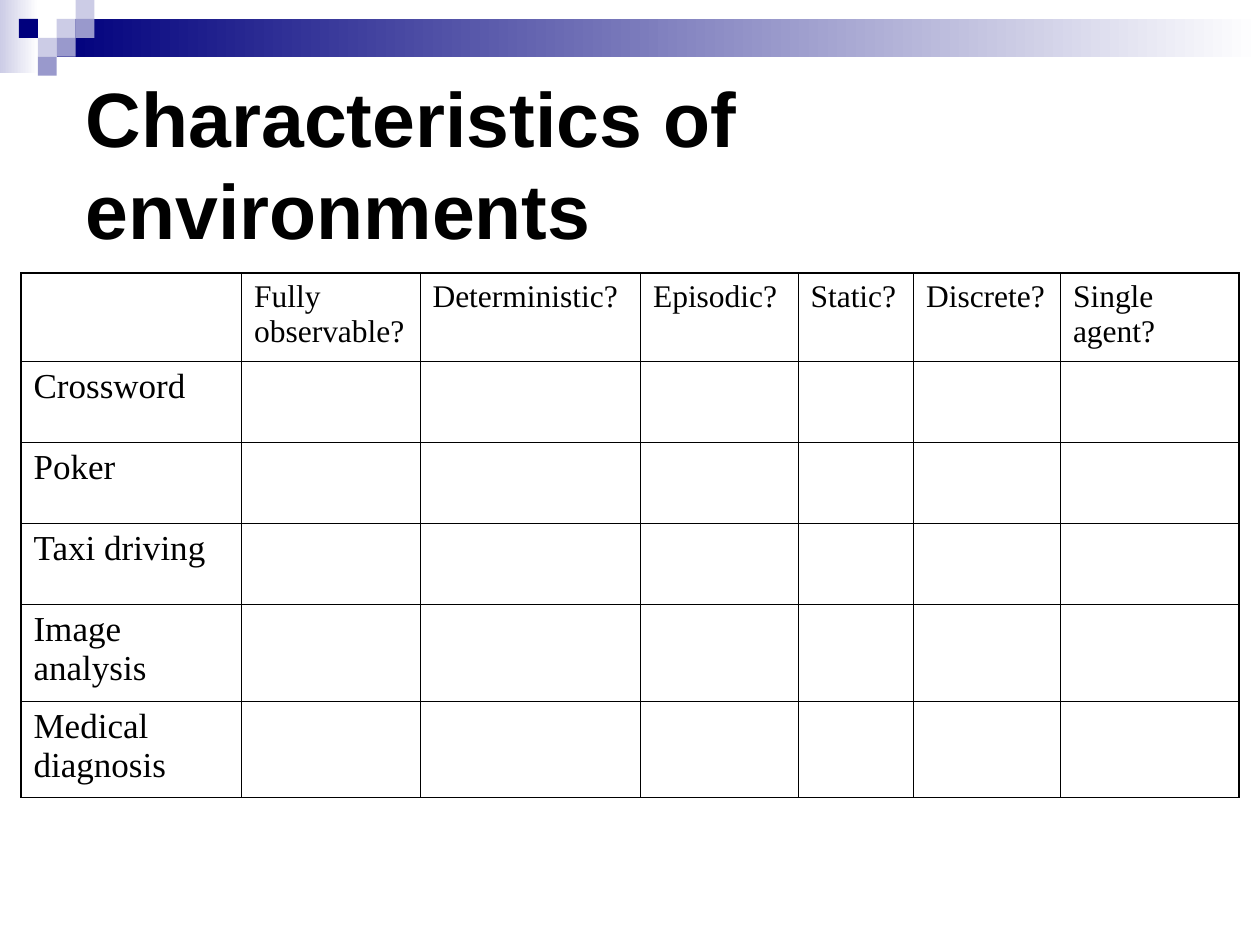
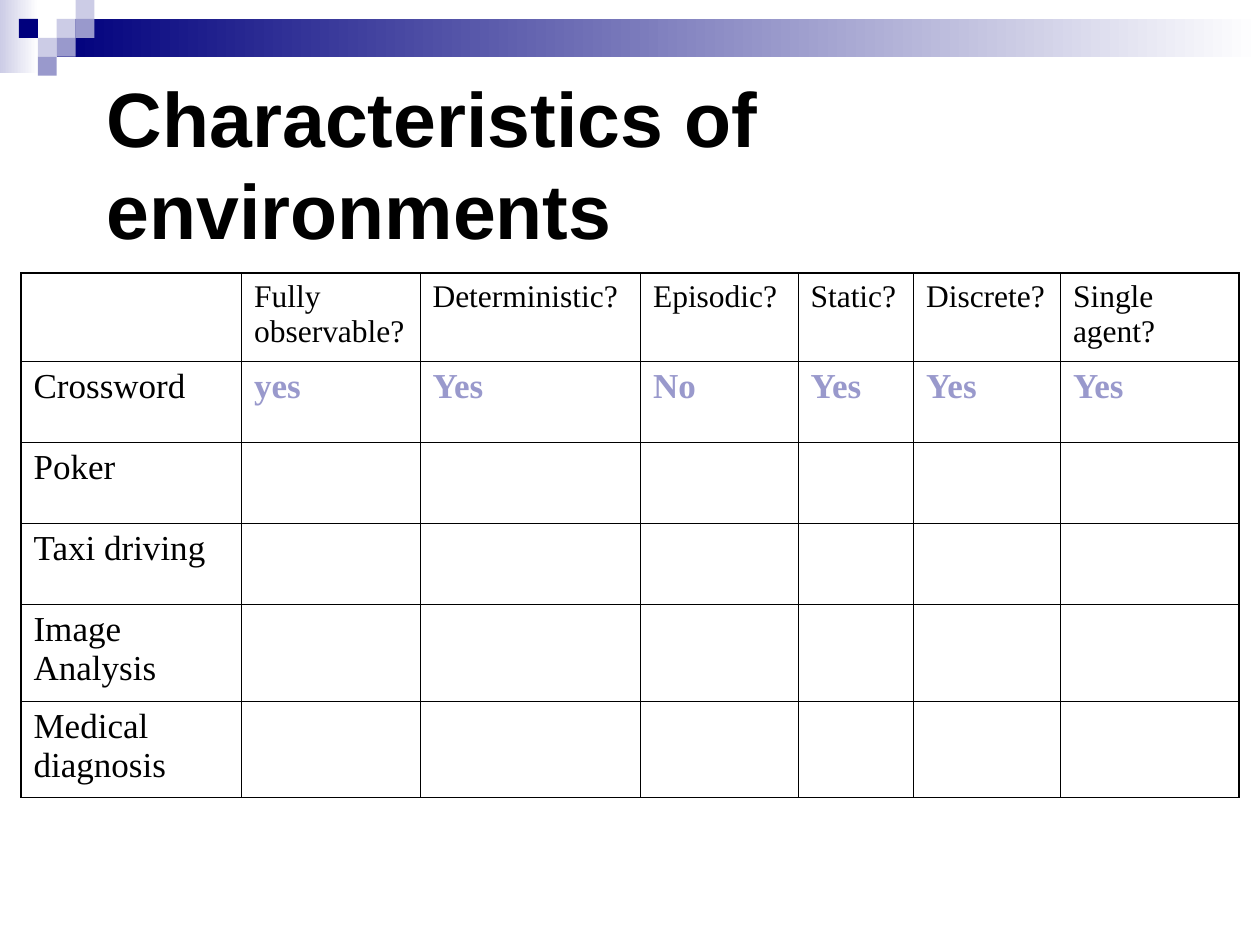
from dataclasses import dataclass

from lxml.etree import SubElement
from pptx import Presentation
from pptx.dml.color import RGBColor
from pptx.enum.shapes import MSO_SHAPE as Preset
from pptx.enum.text import MSO_ANCHOR as Anchor
from pptx.oxml.ns import qn
from pptx.slide import Slide
from pptx.table import _Cell as Cell
from pptx.text.text import _Paragraph as Paragraph
from pptx.util import Pt


@dataclass(frozen=True)
class Theme:
    ink: str = "000000"
    white: str = "FFFFFF"
    navy: str = "00007D"
    lavender: str = "9999CC"
    mist: str = "CCCCE6"
    title_font: str = "Arial"
    table_font: str = "Times New Roman"
    title_size: float = 44
    header_size: float = 18
    body_size: float = 20
    inner_line: float = 0.45
    outer_line: float = 1.08


@dataclass(frozen=True)
class Block:
    left: float
    top: float
    width: float
    height: float
    color: str
    fade_to: str = ""


@dataclass(frozen=True)
class EnvironmentSlide:
    title_left: float
    title_width: float
    rows: tuple[tuple[str, ...], ...]


THEME = Theme()
TILE = 10.8
TILES = (
    (3, 1, THEME.mist),
    (4, 0, THEME.mist),
    (4, 1, THEME.lavender),
    (2, 2, THEME.mist),
    (1, 1, THEME.navy),
    (3, 2, THEME.lavender),
    (2, 3, THEME.lavender),
)
BAND = (
    Block(0, 0, 22, 42, THEME.mist, THEME.white),
    Block(3 * TILE, TILE, 720 - 3 * TILE, 2 * TILE, THEME.navy, THEME.white),
    *(Block(column * TILE, row * TILE, TILE, TILE, color) for column, row, color in TILES),
)

TITLE = "Characteristics of environments"
QUESTIONS = ("", "Fully observable?", "Deterministic?", "Episodic?", "Static?", "Discrete?", "Single agent?")
COLUMN_WIDTHS = (126, 102, 126, 90, 66, 84, 102)
ROW_HEIGHTS = (50.4, 46.3, 46.3, 46.3, 55.2, 55.2)
SLIDES = (
    EnvironmentSlide(42, 636, (
        ("Crossword",), ("Poker",), ("Taxi driving",), ("Image analysis",), ("Medical diagnosis",),
    )),
    EnvironmentSlide(54, 612, (
        ("Crossword", "yes", "Yes", "No", "Yes", "Yes", "Yes"),
        ("Poker",), ("Taxi driving",), ("Image Analysis",), ("Medical diagnosis",),
    )),
)


def rgb(color: str) -> RGBColor:
    return RGBColor.from_string(color)


def style_text(paragraph: Paragraph, font_name: str, size: float, color: str, bold: bool) -> None:
    for run in paragraph.runs:
        run.font.name = font_name
        run.font.size = Pt(size)
        run.font.color.rgb = rgb(color)
        run.font.bold = bold


def draw_block(slide: Slide, block: Block) -> None:
    shape = slide.shapes.add_shape(
        Preset.RECTANGLE, Pt(block.left), Pt(block.top), Pt(block.width), Pt(block.height))
    shape.shadow.inherit = False
    shape.line.fill.background()
    if not block.fade_to:
        shape.fill.solid()
        shape.fill.fore_color.rgb = rgb(block.color)
        return
    shape.fill.gradient()
    shape.fill.gradient_angle = 0
    for stop, position, color in zip(shape.fill.gradient_stops, (0, 1), (block.color, block.fade_to)):
        stop.position = position
        stop.color.rgb = rgb(color)


def draw_title(slide: Slide, left: float, width: float) -> None:
    frame = slide.shapes.add_textbox(Pt(left), Pt(48), Pt(width), Pt(90)).text_frame
    frame.word_wrap = True
    frame.vertical_anchor = Anchor.MIDDLE
    frame.text = TITLE
    style_text(frame.paragraphs[0], THEME.title_font, THEME.title_size, THEME.ink, True)


def set_borders(cell: Cell, outer_sides: dict[str, bool]) -> None:
    properties = cell._tc.get_or_add_tcPr()
    for side, is_outer in outer_sides.items():
        width = Pt(THEME.outer_line if is_outer else THEME.inner_line)
        line = SubElement(properties, qn(f"a:{side}"), w=str(int(width)))
        SubElement(SubElement(line, qn("a:solidFill")), qn("a:srgbClr"), val=THEME.ink)


def fill_cell(cell: Cell, text: str, is_header: bool, is_answer: bool) -> None:
    size = THEME.header_size if is_header else THEME.body_size
    cell.text_frame.text = text
    paragraph = cell.text_frame.paragraphs[0]
    paragraph.space_before = Pt(size / 4)
    style_text(paragraph, THEME.table_font, size, THEME.lavender if is_answer else THEME.ink, is_answer)


def draw_table(slide: Slide, environments: tuple[tuple[str, ...], ...]) -> None:
    last_row, last_column = len(ROW_HEIGHTS) - 1, len(COLUMN_WIDTHS) - 1
    table = slide.shapes.add_table(
        last_row + 1, last_column + 1, Pt(12), Pt(156),
        Pt(sum(COLUMN_WIDTHS)), Pt(sum(ROW_HEIGHTS))).table
    table.first_row = False
    table.horz_banding = False
    for column, width in zip(table.columns, COLUMN_WIDTHS):
        column.width = Pt(width)
    for row, height in zip(table.rows, ROW_HEIGHTS):
        row.height = Pt(height)
    for r, texts in enumerate((QUESTIONS, *environments)):
        for c in range(last_column + 1):
            cell = table.cell(r, c)
            set_borders(cell, {"lnL": c == 0, "lnR": c == last_column, "lnT": r == 0, "lnB": r == last_row})
            cell.fill.background()
            if c < len(texts) and texts[c]:
                fill_cell(cell, texts[c], r == 0, r > 0 and c > 0)


def main() -> None:
    presentation = Presentation()
    presentation.slide_width, presentation.slide_height = Pt(720), Pt(540)
    blank = presentation.slide_layouts[6]
    for content in SLIDES:
        slide = presentation.slides.add_slide(blank)
        for block in BAND:
            draw_block(slide, block)
        draw_title(slide, content.title_left, content.title_width)
        draw_table(slide, content.rows)
    presentation.save("out.pptx")


if __name__ == "__main__":
    main()
